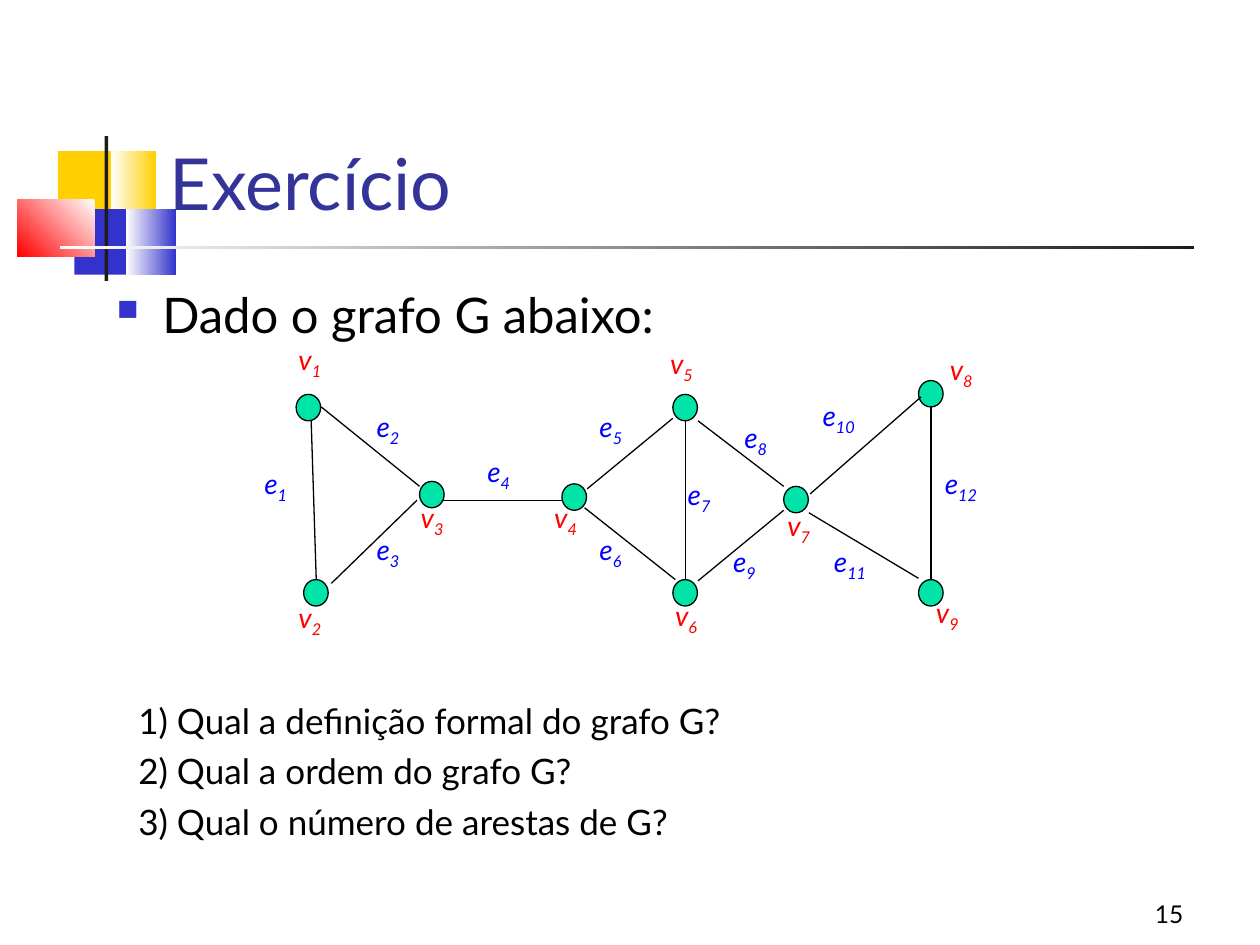
from dataclasses import dataclass
from typing import NamedTuple

from lxml.etree import SubElement
from pptx import Presentation
from pptx.dml.color import RGBColor
from pptx.enum.shapes import MSO_CONNECTOR, MSO_SHAPE
from pptx.enum.text import MSO_ANCHOR, PP_ALIGN
from pptx.oxml.ns import qn
from pptx.util import Inches, Pt

COLS, ROWS = 100, 75
WIDTH, HEIGHT = Inches(10), Inches(7.5)


@dataclass(frozen=True)
class Theme:
    font: str = "Lato"
    black: str = "000000"
    white: str = "FFFFFF"
    charcoal: str = "1C1C1C"
    yellow: str = "FFCF01"
    blue: str = "3333CC"
    red: str = "FF0000"
    title: str = "333399"
    node: str = "00E4A8"
    edge_label: str = "0000FF"
    title_size: int = 41
    body_size: int = 28
    question_size: int = 20
    label_size: int = 16
    number_size: int = 14
    line_width: float = 0.75


class Box(NamedTuple):
    col: float
    row: float
    cols: float
    rows: float


class Point(NamedTuple):
    col: float
    row: float


class Block(NamedTuple):
    box: Box
    start: str
    end: str = ""
    angle: int = 180


class Vertex(NamedTuple):
    at: Point
    label: Point


class Edge(NamedTuple):
    start: Point
    end: Point
    label: Point


T = Theme()

BLOCKS = [
    Block(Box(4.6, 12, 4.8, 5.2), T.yellow),
    Block(Box(8.8, 12, 3.6, 5.2), T.yellow, T.white),
    Block(Box(5.9, 16.6, 4.6, 5.2), T.blue),
    Block(Box(10, 16.6, 4, 5.2), T.blue, T.white),
    Block(Box(1.4, 15.8, 6.1, 4.6), T.white, T.red, 225),
    Block(Box(8.3, 10.8, 0.3, 11.5), T.charcoal),
    Block(Box(4.8, 19.5, 90, 0.3), T.charcoal, T.white),
]

VERTICES = [
    Vertex(Point(23.5, 31.3), Point(22.7, 26.7)),
    Vertex(Point(24.1, 46), Point(22.7, 47.2)),
    Vertex(Point(33.3, 38.2), Point(32.4, 39.2)),
    Vertex(Point(44.6, 38.4), Point(43, 39.2)),
    Vertex(Point(53.4, 31.3), Point(52.2, 27)),
    Vertex(Point(53.4, 46), Point(52.6, 47)),
    Vertex(Point(62.2, 38.6), Point(61.5, 39.9)),
    Vertex(Point(72.9, 30.2), Point(74.4, 27.5)),
    Vertex(Point(72.9, 46), Point(73.3, 46.8)),
]

EDGES = [
    Edge(Point(24.7, 33.4), Point(25.1, 46), Point(20, 36.5)),
    Edge(Point(25.5, 32.3), Point(33.3, 38.6), Point(28.9, 32)),
    Edge(Point(26.3, 46.3), Point(33.1, 39.7), Point(28.9, 41.8)),
    Edge(Point(35.2, 39.7), Point(44.6, 39.7), Point(37.7, 35.6)),
    Edge(Point(46.6, 38.8), Point(53.4, 33.2), Point(46.6, 32)),
    Edge(Point(46.4, 40.3), Point(53.6, 46), Point(46.6, 41.8)),
    Edge(Point(54.4, 33.4), Point(54.4, 46), Point(53.6, 37.4)),
    Edge(Point(55.4, 33.4), Point(62.2, 38.6), Point(58.1, 32.9)),
    Edge(Point(55.4, 46.1), Point(62.2, 40.5), Point(57.2, 42.7)),
    Edge(Point(64.3, 39.2), Point(73.1, 31.5), Point(64.3, 31.1)),
    Edge(Point(64.2, 40.7), Point(72.9, 45.9), Point(65.2, 42.7)),
    Edge(Point(73.9, 32.3), Point(73.9, 46), Point(74, 36.5)),
]

QUESTIONS = [
    "Qual a definição formal do grafo G?",
    "Qual a ordem do grafo G?",
    "Qual o número de arestas de G?",
]


def x(cols: float) -> int:
    return round(WIDTH * cols / COLS)


def y(rows: float) -> int:
    return round(HEIGHT * rows / ROWS)


def place(box: Box) -> tuple[int, int, int, int]:
    return x(box.col), y(box.row), x(box.cols), y(box.rows)


def rgb(color: str) -> RGBColor:
    return RGBColor.from_string(color)


def add_bullet(pPr, color: str) -> None:
    buClr = SubElement(pPr, qn("a:buClr"))
    SubElement(buClr, qn("a:srgbClr"), val=color)
    SubElement(pPr, qn("a:buSzPct"), val="60000")
    SubElement(pPr, qn("a:buChar"), char="■")


def add_text(s, box: Box, *lines: str, size: int, color: str = T.black, sub: str = "",
             italic: bool = False, align=PP_ALIGN.LEFT, anchor=MSO_ANCHOR.TOP,
             gap: float = 0, hang: float = 0, bullet: str = "") -> None:
    tf = s.shapes.add_textbox(*place(box)).text_frame
    tf.word_wrap = True
    tf.vertical_anchor = anchor
    for i, line in enumerate(lines):
        p = tf.add_paragraph() if i else tf.paragraphs[0]
        p.alignment = align
        if i:
            p.space_before = Pt(gap)
        pPr = p._p.get_or_add_pPr()
        if hang:
            pPr.set("marL", str(x(hang)))
            pPr.set("indent", str(-x(hang)))
        if bullet:
            add_bullet(pPr, bullet)
        for part in filter(None, (line, sub)):
            r = p.add_run()
            r.text = part
            r.font.name = T.font
            r.font.size = Pt(size)
            r.font.italic = italic
            r.font.color.rgb = rgb(color)
        if sub:
            r.font._element.set("baseline", "-25000")


def add_block(s, block: Block) -> None:
    sp = s.shapes.add_shape(MSO_SHAPE.RECTANGLE, *place(block.box))
    sp.shadow.inherit = False
    sp.line.fill.background()
    if block.end:
        sp.fill.gradient()
        sp.fill.gradient_angle = block.angle
        for stop, color in zip(sp.fill.gradient_stops, (block.start, block.end)):
            stop.color.rgb = rgb(color)
    else:
        sp.fill.solid()
        sp.fill.fore_color.rgb = rgb(block.start)


def outline(sp) -> None:
    sp.line.color.rgb = rgb(T.black)
    sp.line.width = Pt(T.line_width)


def add_vertex(s, vertex: Vertex) -> None:
    sp = s.shapes.add_shape(MSO_SHAPE.OVAL, *place(Box(*vertex.at, 1.95, 2.1)))
    sp.shadow.inherit = False
    sp.fill.solid()
    sp.fill.fore_color.rgb = rgb(T.node)
    outline(sp)


def add_edge(s, edge: Edge) -> None:
    (x1, y1), (x2, y2) = edge.start, edge.end
    sp = s.shapes.add_connector(MSO_CONNECTOR.STRAIGHT, x(x1), y(y1), x(x2), y(y2))
    outline(sp)
    SubElement(sp._element.spPr, qn("a:effectLst"))


def add_labels(s, letter: str, items: list, color: str) -> None:
    for i, item in enumerate(items, 1):
        box = Box(*item.label, 5.3 if i < 10 else 7.1, 4.5)
        add_text(s, box, letter, sub=str(i), size=T.label_size, color=color, italic=True)


def main() -> None:
    prs = Presentation()
    prs.slide_width, prs.slide_height = WIDTH, HEIGHT
    s = prs.slides.add_slide(prs.slide_layouts[6])
    for block in BLOCKS:
        add_block(s, block)
    add_text(s, Box(12.5, 5.8, 85.2, 12.5), "Exercício", size=T.title_size,
             color=T.title, anchor=MSO_ANCHOR.BOTTOM)
    add_text(s, Box(8.3, 22.1, 89.6, 49.6), "Dado o grafo G abaixo:",
             size=T.body_size, hang=3.6, bullet=T.blue)
    for vertex in VERTICES:
        add_vertex(s, vertex)
    for edge in EDGES:
        add_edge(s, edge)
    add_labels(s, "e", EDGES, T.edge_label)
    add_labels(s, "v", VERTICES, T.red)
    add_text(s, Box(10, 55, 79.2, 10), *(f"{i}) {q}" for i, q in enumerate(QUESTIONS, 1)),
             size=T.question_size, gap=5, hang=2.8)
    add_text(s, Box(74.2, 69.2, 20.7, 5), "15", size=T.number_size,
             align=PP_ALIGN.RIGHT, anchor=MSO_ANCHOR.BOTTOM)
    prs.save("out.pptx")


if __name__ == "__main__":
    main()
